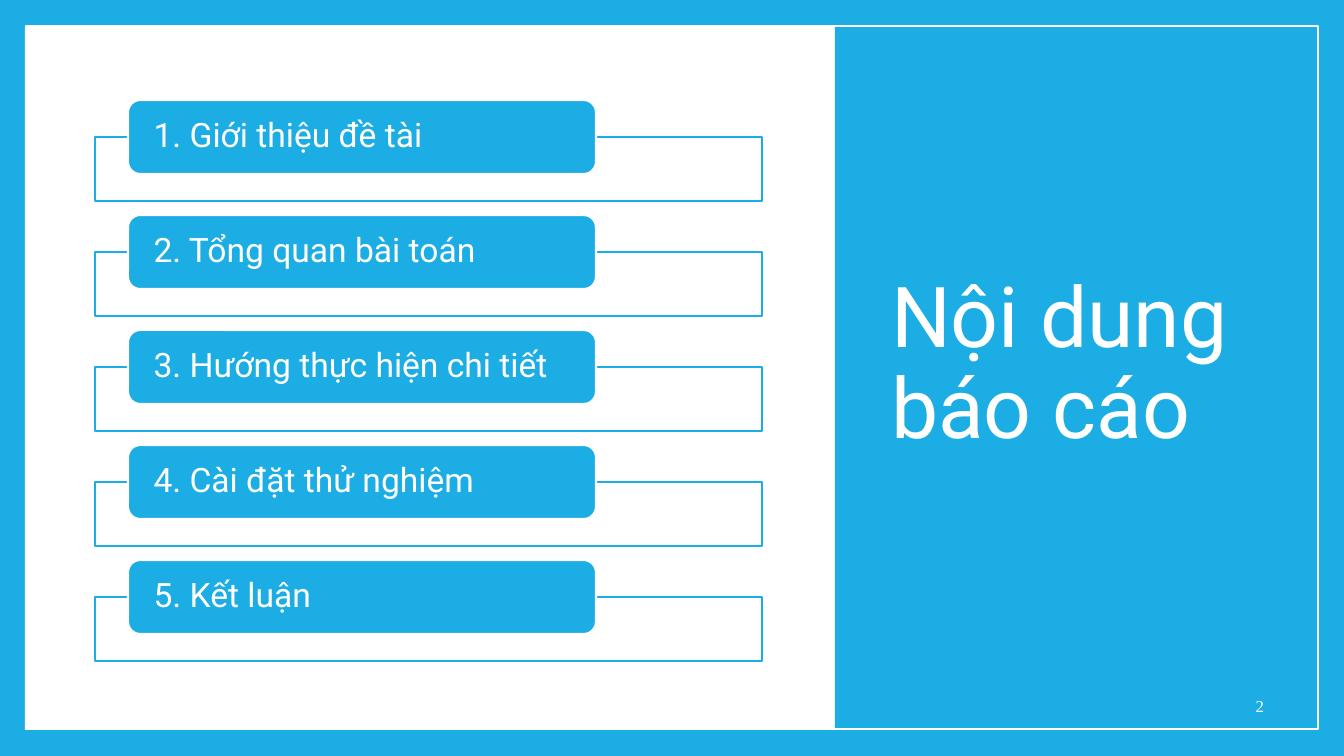
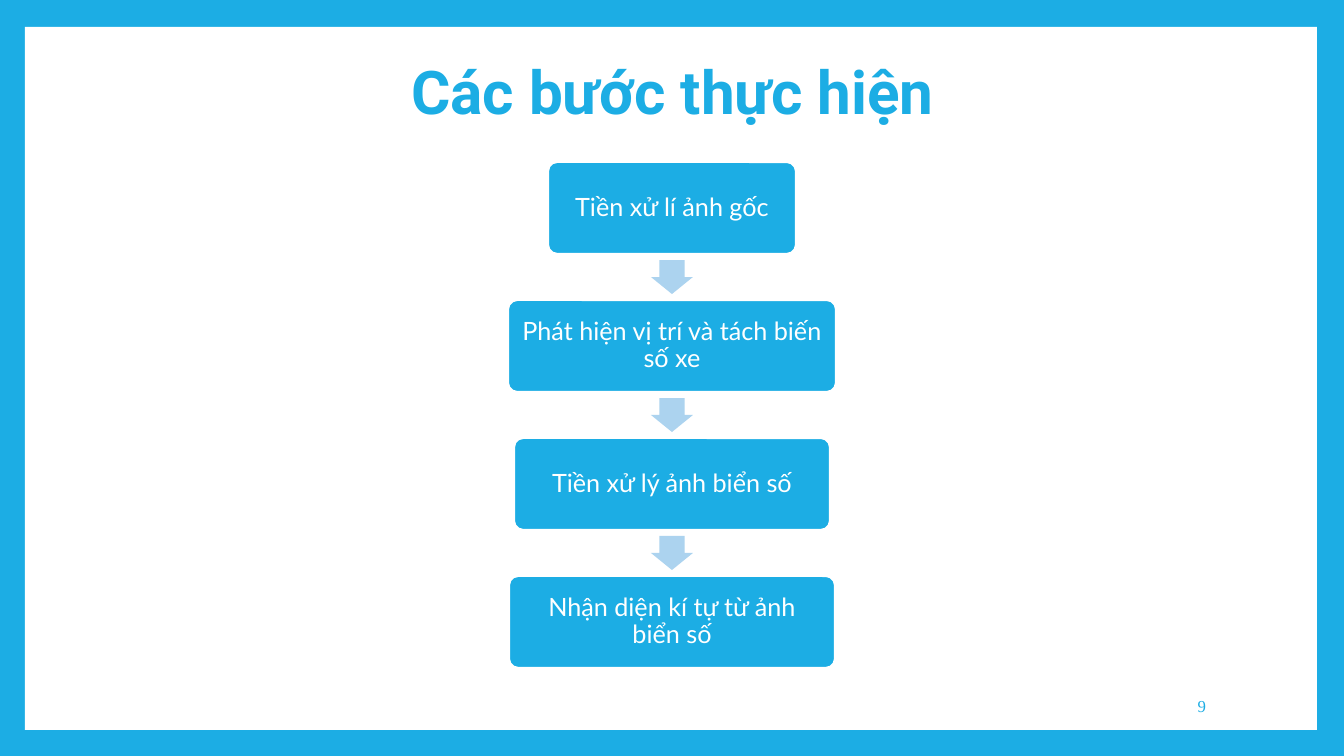
from pptx import Presentation
from pptx.dml.color import RGBColor
from pptx.enum.shapes import MSO_SHAPE as Kind
from pptx.enum.text import MSO_ANCHOR as Anchor, MSO_AUTO_SIZE as Fit, PP_ALIGN as Align
from pptx.util import Pt

BLUE = RGBColor(0x1C, 0xAD, 0xE4)
PALE = RGBColor(0xAC, 0xD3, 0xEF)
WHITE = RGBColor(0xFF, 0xFF, 0xFF)
SCALE = 914400 / 100.8
WIDTH, HEIGHT = 1344, 756


def draw(slide, kind, box, fill=None, line=None, thick=1.5, adjust=()):
    shape = slide.shapes.add_shape(kind, *[round(n * SCALE) for n in box])
    shape.shadow.inherit = False
    if fill is None:
        shape.fill.background()
    else:
        shape.fill.solid()
        shape.fill.fore_color.rgb = fill
    if line is None:
        shape.line.fill.background()
    else:
        shape.line.color.rgb = line
        shape.line.width = Pt(thick)
    for i, value in enumerate(adjust):
        shape.adjustments[i] = value
    return shape


def write(shape, text, look, box=None, inset=None):
    if box:
        sides = zip(("left", "top", "width", "height"), box)
        for side, length in sides:
            setattr(shape, side, round(length * SCALE))
    frame = shape.text_frame
    frame.text = text
    frame.word_wrap = True
    frame.auto_size = Fit.NONE
    frame.vertical_anchor = Anchor.MIDDLE
    if inset:
        for side, length in zip(("left", "top", "right", "bottom"), inset):
            setattr(frame, "margin_" + side, round(length * SCALE))
    para = frame.paragraphs[0]
    para.alignment = look["align"]
    para.line_spacing = look.get("spacing", 0.9)
    font = para.runs[0].font
    for key in ("name", "size", "bold"):
        setattr(font, key, look.get(key))
    font.color.rgb = look["color"]


HEAD = {"name": "Roboto", "size": Pt(60), "color": WHITE, "align": Align.LEFT}
HEAD_BOLD = {"name": "Roboto", "size": Pt(43), "bold": True, "color": BLUE, "align": Align.CENTER}
ITEM = {"name": "Roboto", "size": Pt(24), "color": WHITE, "align": Align.LEFT}
STEP = {"name": "Lato", "size": Pt(18), "color": WHITE, "align": Align.CENTER}
PAGE = {"name": "Times New Roman", "size": Pt(12), "align": Align.RIGHT, "spacing": 1.0}

deck = Presentation()
deck.slide_width = round(WIDTH * SCALE)
deck.slide_height = round(HEIGHT * SCALE)
master = deck.slide_master
master.background.fill.solid()
master.background.fill.fore_color.rgb = BLUE
layout = deck.slide_layouts[5]
agenda, flow = [deck.slides.add_slide(layout) for _ in range(2)]

panel = draw(agenda, Kind.RECTANGLE, (25, 27, 1292, 703), WHITE)
panel.element.nvSpPr.cNvPr.set("id", "99")
master.shapes.element.insert(2, panel.element)

band = draw(agenda, Kind.RECTANGLE, (835, 26, 484, 704), BLUE)
agenda.shapes.element.insert(2, band.element)
draw(agenda, Kind.RECTANGLE, (26, 26, 1292, 703), line=WHITE, thick=1)

heads = (
    (agenda, "Nội dung báo cáo", HEAD, (881, 68, 394, 596)),
    (flow, "Các bước thực hiện", HEAD_BOLD, (128, 47, 1089, 96)),
)
for slide, text, look, box in heads:
    write(slide.shapes.title, text, look, box)

pages = (
    (agenda, "2", WHITE, (1157, 686, 117, 40)),
    (flow, "9", BLUE, (1028, 686, 188, 40)),
)
for slide, text, color, box in pages:
    label = slide.shapes.add_textbox(0, 0, 0, 0)
    write(label, text, {**PAGE, "color": color}, box)

items = (
    "1. Giới thiệu đề tài",
    "2. Tổng quan bài toán",
    "3. Hướng thực hiện chi tiết",
    "4. Cài đặt thử nghiệm",
    "5. Kết luận",
)
for i, text in enumerate(items):
    top = 100 + 115 * i
    draw(agenda, Kind.RECTANGLE, (95, top + 37, 667, 64), WHITE, BLUE)
    pill = draw(agenda, Kind.ROUNDED_RECTANGLE, (128, top, 468, 74), BLUE, WHITE)
    write(pill, text, ITEM, inset=(22, 0, 22, 0))

steps = (
    ("Tiền xử lí ảnh gốc", 248),
    ("Phát hiện vị trí và tách biến số xe", 328),
    ("Tiền xử lý ảnh biển số", 316),
    ("Nhận diện kí tự từ ảnh biển số", 326),
)
for i, (text, width) in enumerate(steps):
    top = 162 + 138 * i
    box = ((WIDTH - width) // 2, top, width, 92)
    card = draw(flow, Kind.ROUNDED_RECTANGLE, box, BLUE, WHITE, adjust=(0.1,))
    write(card, text, STEP, inset=(10, 10, 10, 10))
    if i < len(steps) - 1:
        draw(flow, Kind.DOWN_ARROW, (651, top + 98, 42, 34), PALE, adjust=(0.6, 0.5))

deck.save("out.pptx")
